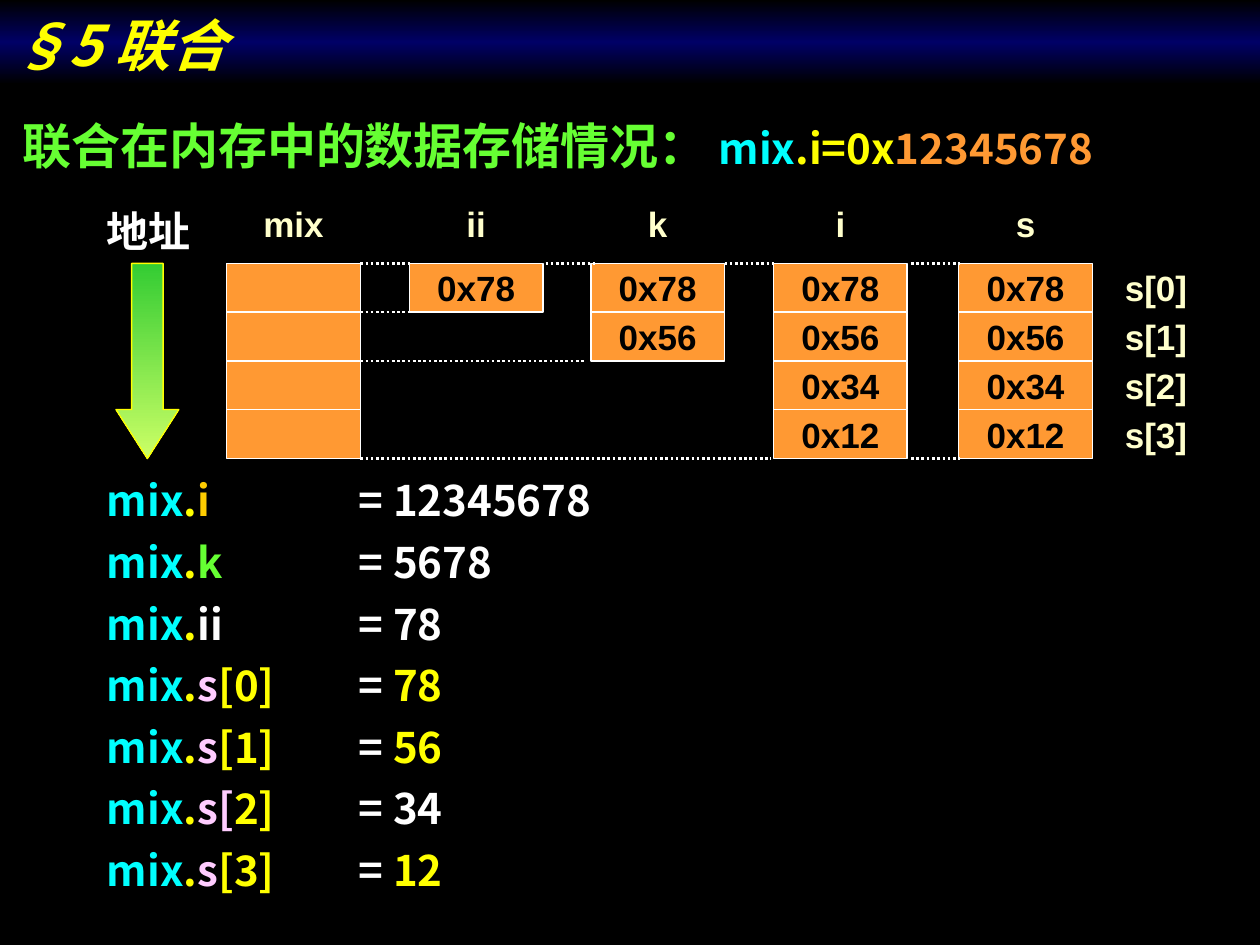
from copy import deepcopy
from lxml import etree
from pptx import Presentation
from pptx.dml.color import RGBColor
from pptx.enum import dml, shapes, text
from pptx.oxml import ns
from pptx.util import Inches, Pt

HUES = {
    "black": "000000", "white": "FFFFFF", "navy": "000066", "orange": "FF9933",
    "cream": "FFFFCC", "cyan": "00FFFF", "yellow": "FFFF00", "lime": "66FF33",
    "gold": "FFCC00", "pink": "FFCCFF", "green": "33CC33", "pale": "CCFF66",
}
SANS, CJK, SERIF = "Arial", "Noto Sans CJK SC", "Times New Roman"


def hue(name):
    """Return the named colour."""
    return RGBColor.from_string(HUES[name])


def add_run(para, words, color, size, face, slant=None):
    """Append one bold run to a paragraph."""
    run = para.add_run()
    run.text = words
    font = run.font
    font.size, font.bold, font.italic, font.name = Pt(size), True, slant, face
    font.color.rgb = hue(color)
    east = etree.SubElement(run._r.get_or_add_rPr(), ns.qn("a:ea"))
    east.set("typeface", CJK)


def add_text(slide, box):
    """Add an empty text box and return its frame."""
    frame = slide.shapes.add_textbox(*map(Inches, box)).text_frame
    frame.word_wrap = True
    return frame


def add_block(slide, kind, box, fill, line=None):
    """Add a preset shape with a plain fill, or a gradient for a list."""
    shape = slide.shapes.add_shape(kind, *map(Inches, box))
    shape.shadow.inherit = False
    if isinstance(fill, list):
        shade(shape, fill)
    else:
        shape.fill.solid()
        shape.fill.fore_color.rgb = hue(fill)
    if line:
        shape.line.color.rgb = hue(line)
        shape.line.width = Pt(0.75)
    else:
        shape.line.fill.background()
    return shape


def shade(shape, names):
    """Fill a shape from top to bottom with evenly spaced colours."""
    shape.fill.gradient()
    shape.fill.gradient_angle = 270
    stops = shape._element.spPr.find(".//" + ns.qn("a:gsLst"))
    while len(stops) < len(names):
        stops.append(deepcopy(stops[0]))
    for i, (stop, name) in enumerate(zip(shape.fill.gradient_stops, names)):
        stop.color.rgb = hue(name)
        stop.position = i / (len(names) - 1)


def add_label(frame, words, color):
    """Centre a short label in a frame."""
    frame.word_wrap = False
    frame.vertical_anchor = text.MSO_ANCHOR.MIDDLE
    para = frame.paragraphs[0]
    para.alignment = text.PP_ALIGN.CENTER
    add_run(para, words, color, 20, SANS)


def add_title(slide, box):
    """Draw the title band."""
    kind = shapes.MSO_SHAPE.RECTANGLE
    frame = add_block(slide, kind, box, ["black", "navy", "black"]).text_frame
    frame.vertical_anchor = text.MSO_ANCHOR.BOTTOM
    para = frame.paragraphs[0]
    para.alignment = text.PP_ALIGN.LEFT
    add_run(para, "§5 联合", "yellow", 32, CJK, True)


def add_head(slide, box):
    """Write the heading with the assigned value."""
    para = add_text(slide, box).paragraphs[0]
    add_run(para, "联合在内存中的数据存储情况： ", "lime", 28, SANS)
    for words, color in (("mix", "cyan"), (".i=0x", "yellow"), ("12345678", "orange")):
        add_run(para, words, color, 24, CJK)


def add_arrow(slide, box):
    """Draw the address arrow under its caption."""
    x, y, w, h = box
    para = add_text(slide, (x, y, w, 0.5)).paragraphs[0]
    add_run(para, "地址", "white", 24, SERIF)
    kind = shapes.MSO_SHAPE.DOWN_ARROW
    arrow = add_block(slide, kind, (x + 0.17, y + 0.51, 0.5, h - 0.51),
                      ["green", "pale"], "yellow")
    arrow.adjustments[0], arrow.adjustments[1] = 0.5, 0.78


def add_dots(slide, ends):
    """Draw one dotted level line."""
    line = slide.shapes.add_connector(shapes.MSO_CONNECTOR.STRAIGHT, *map(Inches, ends))
    line.line.color.rgb = hue("white")
    line.line.width = Pt(1.5)
    line.line.dash_style = dml.MSO_LINE.ROUND_DOT
    etree.SubElement(line._element.spPr, ns.qn("a:effectLst"))


def add_map(slide, box):
    """Draw the memory cells of each member with dotted level lines."""
    left, top, _, high = box
    drop, wide = 0.51, 1.06
    step = (high - drop) / 4
    data = ["0x78", "0x56", "0x34", "0x12"]
    cols = [("mix", 0, [""] * 4), ("ii", 1.45, data[:1]), ("k", 2.89, data[:2]),
            ("i", 4.34, data), ("s", 5.81, data)]
    for name, x, cells in cols:
        add_label(add_text(slide, (left + x, top, wide, step)), name, "cream")
        for i, cell in enumerate(cells):
            spot = (left + x, top + drop + i * step, wide, step)
            block = add_block(slide, shapes.MSO_SHAPE.RECTANGLE, spot, "orange", "white")
            if cell:
                add_label(block.text_frame, cell, "black")
    for i in range(4):
        spot = (left + 6.96, top + drop + i * step, 0.83, step)
        add_label(add_text(slide, spot), f"s[{i}]", "cream")
    for start, end, row in ((1.06, 1.46, 0), (1.06, 1.46, 1), (1.06, 2.85, 2),
                            (2.53, 2.92, 0), (3.95, 4.34, 0), (1.06, 4.32, 4),
                            (5.43, 5.82, 0), (5.43, 5.82, 4)):
        y = top + drop + row * step
        add_dots(slide, (left + start, y, left + end, y))


def add_list(slide, box, rows):
    """Write tight rows of coloured runs."""
    frame = add_text(slide, box)
    for i, row in enumerate(rows):
        para = frame.add_paragraph() if i else frame.paragraphs[0]
        para.line_spacing = 0.7
        if i:
            para.space_before = Pt(15)
        for words, color in row:
            add_run(para, words, color, 24, CJK)


def add_values(slide, box):
    """List each member and the value it reads."""
    x, y, w, h = box
    names = [[("i", "gold")], [("k", "lime")], [("ii", "white")]]
    names += [[("s", "pink"), (f"[{i}]", "yellow")] for i in (0, 1)]
    names += [[("s[", "pink"), ("2]", "yellow")], [("s", "pink"), ("[3]", "yellow")]]
    stem = [("mix", "cyan"), (".", "yellow")]
    add_list(slide, (x, y, 2.08, h), [stem + name for name in names])
    reads = [("12345678", "white"), ("5678", "white"), ("78", "white"), ("78", "yellow"),
             ("56", "yellow"), ("34", "white"), ("12", "yellow")]
    add_list(slide, (x + 2, y, w - 2, h), [[("= ", "white"), read] for read in reads])


def main():
    """Build and save the slide."""
    deck = Presentation()
    deck.slide_width, deck.slide_height = Inches(10), Inches(7.5)
    slide = deck.slides.add_slide(deck.slide_layouts[6])
    slide.background.fill.solid()
    slide.background.fill.fore_color.rgb = hue("black")
    add_map(slide, (1.8, 1.58, 7.79, 2.06))
    add_head(slide, (0.08, 0.87, 8.92, 0.57))
    add_values(slide, (0.75, 3.83, 7.83, 3.31))
    add_arrow(slide, (0.75, 1.58, 0.88, 2.06))
    add_title(slide, (0, 0, 10, 0.67))
    deck.save("out.pptx")


if __name__ == "__main__":
    main()
